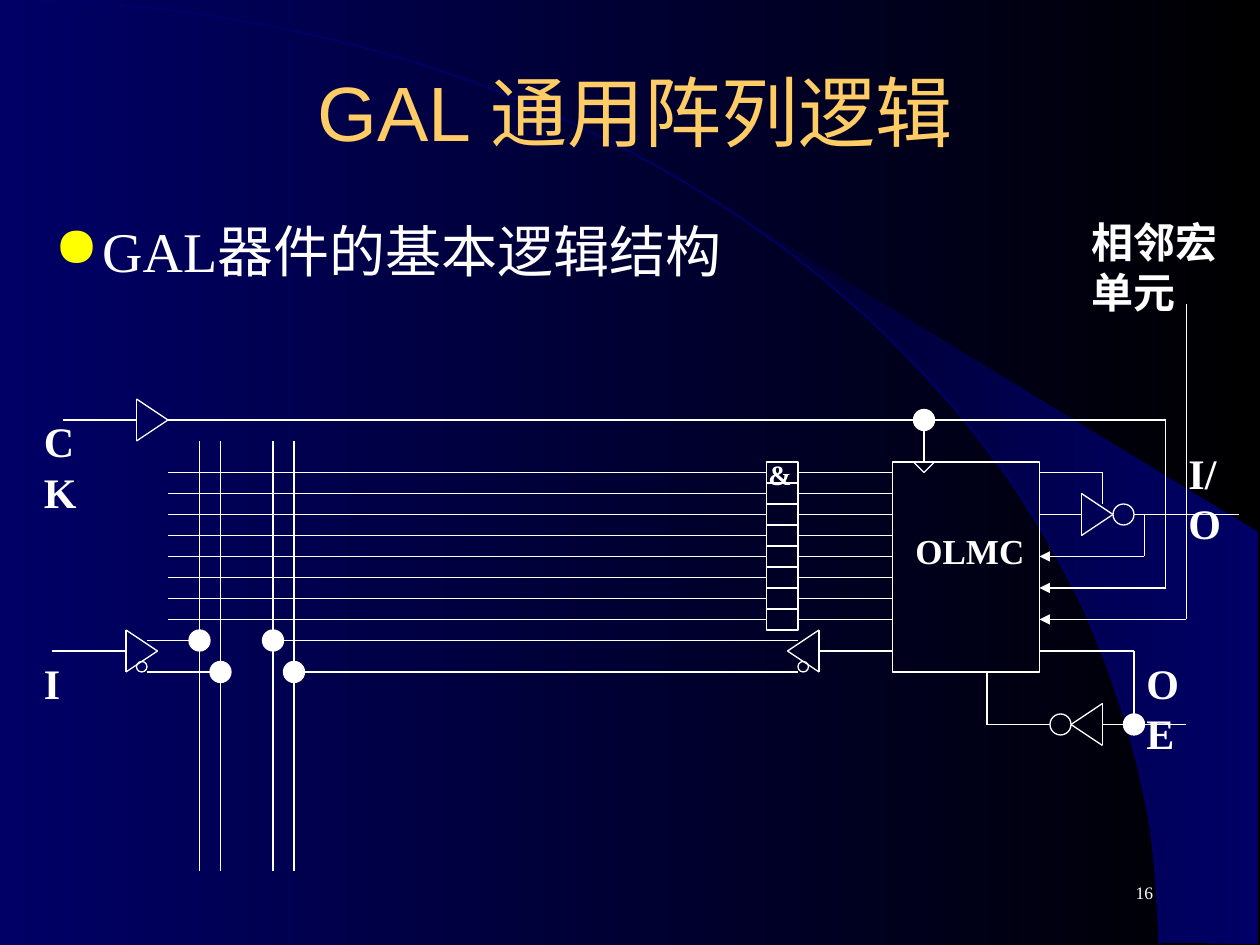
import math
from lxml import etree
from pptx import Presentation
from pptx import util as u
from pptx.dml.color import RGBColor
from pptx.enum import shapes, text
from pptx.oxml import ns

WHITE = RGBColor(0xFF, 0xFF, 0xFF)
GOLD = RGBColor(0xFF, 0xCC, 0x66)
YELLOW = RGBColor(0xFF, 0xFF, 0x00)
BLUE = RGBColor(0x00, 0x00, 0x66)
NAVY = RGBColor(0x00, 0x00, 0x2F)
BLACK = RGBColor(0x00, 0x00, 0x00)
SERIF = "Times New Roman"


def grid(*steps):
    return [u.Inches(step / 12) for step in steps]


def blend(fill, first, last):
    fill.gradient()
    fill.gradient_angle = 0
    for stop, color, place in zip(fill.gradient_stops, (first, last), (0, 1)):
        stop.color.rgb = color
        stop.position = place


class Sketch:
    def __init__(self, slide, color=WHITE, width=0.75):
        self.slide = slide
        self.color = color
        self.width = width

    def text(self, words, box, size=24, font=SERIF, color=None, bold=True,
             align=text.PP_ALIGN.LEFT, anchor=text.MSO_ANCHOR.TOP,
             side=0.1, bullet=None):
        frame = self.slide.shapes.add_textbox(*grid(*box)).text_frame
        frame.word_wrap = True
        frame.vertical_anchor = anchor
        frame.margin_left = frame.margin_right = u.Inches(side)
        frame.margin_top = frame.margin_bottom = u.Inches(0.05)
        para = frame.paragraphs[0]
        para.alignment = align
        if bullet:
            props = para._p.get_or_add_pPr()
            props.set("marL", str(u.Inches(0.38)))
            props.set("indent", str(u.Inches(-0.38)))
            tint = etree.SubElement(props, ns.qn("a:buClr"))
            etree.SubElement(tint, ns.qn("a:srgbClr")).set("val", str(YELLOW))
            etree.SubElement(props, ns.qn("a:buChar")).set("char", bullet)
        run = para.add_run()
        run.text = words
        run.font.size = u.Pt(size)
        run.font.name = font
        run.font.bold = bold
        run.font.color.rgb = color or self.color

    def block(self, kind, box, solid=False):
        shape = self.slide.shapes.add_shape(kind, *grid(*box))
        shape.shadow.inherit = False
        if solid:
            shape.fill.solid()
            shape.fill.fore_color.rgb = self.color
        else:
            shape.fill.background()
        shape.line.color.rgb = self.color
        shape.line.width = u.Pt(self.width)
        return shape

    def box(self, *box):
        return self.block(shapes.MSO_SHAPE.RECTANGLE, box)

    def disc(self, x, y, radius=1, solid=False):
        box = (x - radius, y - radius, 2 * radius, 2 * radius)
        self.block(shapes.MSO_SHAPE.OVAL, box, solid)

    def line(self, start, end, arrow=False):
        wire = self.slide.shapes.add_connector(
            shapes.MSO_CONNECTOR.STRAIGHT, *grid(*start, *end))
        wire.line.color.rgb = self.color
        wire.line.width = u.Pt(self.width)
        props = wire.element.spPr
        if arrow:
            tail = etree.SubElement(props.find(ns.qn("a:ln")), ns.qn("a:tailEnd"))
            tail.set("type", "triangle")
        etree.SubElement(props, ns.qn("a:effectLst"))
        return wire

    def chain(self, *points, arrow=False):
        for i in range(1, len(points)):
            self.line(points[i - 1], points[i], arrow and i == len(points) - 1)

    def gate(self, x, y, reach):
        self.chain((x, y - 2), (x, y + 2), (x + reach, y), (x, y - 2))

    def curve(self, points, close):
        spots = [(u.Inches(x), u.Inches(y)) for x, y in points]
        path = self.slide.shapes.build_freeform(*spots[0], scale=1.0)
        path.add_line_segments(spots[1:], close=close)
        shape = path.convert_to_shape()
        shape.shadow.inherit = False
        return shape


def backdrop(sketch):
    blend(sketch.slide.background.fill, BLUE, BLACK)
    band = sketch.curve([
        (9.2, 7.48), (9.99, 7.49), (9.99, 4.23), (5.89, 1.73), (6.24, 1.99),
        (6.53, 2.22), (6.85, 2.5), (7.16, 2.8), (7.62, 3.3), (8.03, 3.84),
        (8.32, 4.31), (8.58, 4.79), (8.78, 5.28), (8.93, 5.72), (9.03, 6.09),
        (9.13, 6.56), (9.17, 6.96)], True)
    blend(band.fill, NAVY, BLUE)
    band.line.fill.background()
    turns = [math.radians(1.5 * i) for i in range(61)]
    arc = sketch.curve([(9.2 * math.sin(t), 7.49 * (1 - math.cos(t)))
                        for t in turns], False)
    arc.fill.background()
    arc.line.color.rgb = BLUE
    arc.line.width = u.Pt(1)


def circuit(sketch):
    sketch.box(85, 44, 14, 20)
    for y in range(45, 60, 2):
        cell = sketch.box(73, y - 1, 3, 2)
        sketch.line((16, y), (73, y)).end_connect(cell, 1)
        sketch.line((76, y), (85, y)).begin_connect(cell, 3)
    for x in (19, 21, 26, 28):
        sketch.line((x, 42), (x, 83))
    for gate in ((13, 40, 3), (12, 62, 3), (78, 62, -3),
                 (103, 49, 3), (105, 69, -3)):
        sketch.gate(*gate)
    for wire in (
            [(6, 40), (13, 40)], [(16, 40), (88, 40)], [(88, 40), (88, 44)],
            [(5, 62), (12, 62)], [(14, 61), (19, 61)], [(14, 64), (21, 64)],
            [(78, 62), (85, 62)], [(26, 61), (76, 61)], [(28, 64), (76, 64)],
            [(87, 44), (88, 45), (89, 44)],
            [(99, 49), (103, 49)], [(108, 49), (118, 49)],
            [(99, 45), (105, 45), (105, 48)],
            [(105, 69), (113, 69)], [(99, 62), (108, 62), (108, 69)],
            [(100, 69), (94, 69), (94, 64)]):
        sketch.chain(*wire)
    for wire in (
            [(109, 49), (109, 53), (99, 53)],
            [(88, 40), (111, 40), (111, 56), (99, 56)],
            [(113, 29), (113, 59), (99, 59)]):
        sketch.chain(*wire, arrow=True)
    for dot in ((19, 61), (21, 64), (26, 61), (28, 64), (88, 40), (108, 69)):
        sketch.disc(*dot, solid=True)
    for ring in ((107, 49, 1), (101, 69, 1), (13.5, 63.5, 0.5), (76.5, 63.5, 0.5)):
        sketch.disc(*ring)


def labels(sketch):
    middle = text.MSO_ANCHOR.MIDDLE
    sketch.text("16", (86, 82, 25, 6), size=10, bold=False,
                align=text.PP_ALIGN.RIGHT, anchor=middle)
    sketch.text("GAL 通用阵列逻辑", (4, 3, 113, 15), size=44, font="Arial",
                color=GOLD, bold=False, align=text.PP_ALIGN.CENTER, anchor=middle)
    sketch.text("GAL器件的基本逻辑结构", (4, 20, 113, 60), size=32,
                bold=False, bullet="●")
    sketch.text("OLMC", (86, 49.8, 13, 5.3), size=20)
    sketch.text("&", (72, 43, 5, 4.4), size=16)
    sketch.text("I", (3, 62, 8, 6))
    for words, x, y in (("CK", 3, 39), ("OE", 108, 62), ("I/O", 112, 42)):
        sketch.text(words, (x, y, 8, 10.8))
    sketch.text("相邻宏单元", (104, 20, 14, 10.8), side=0)


def main():
    deck = Presentation()
    deck.slide_width = u.Inches(10)
    deck.slide_height = u.Inches(7.5)
    sketch = Sketch(deck.slides.add_slide(deck.slide_layouts[6]))
    backdrop(sketch)
    circuit(sketch)
    labels(sketch)
    deck.save("out.pptx")


if __name__ == "__main__":
    main()
